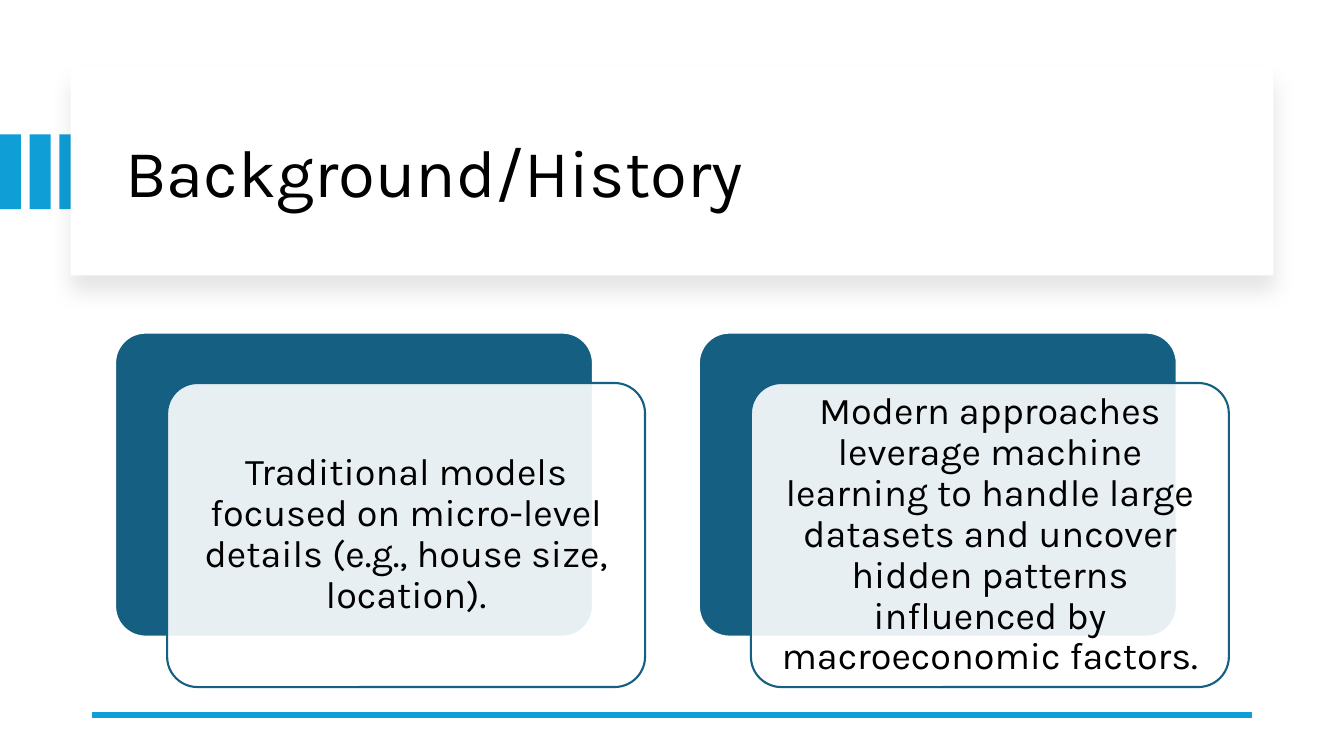
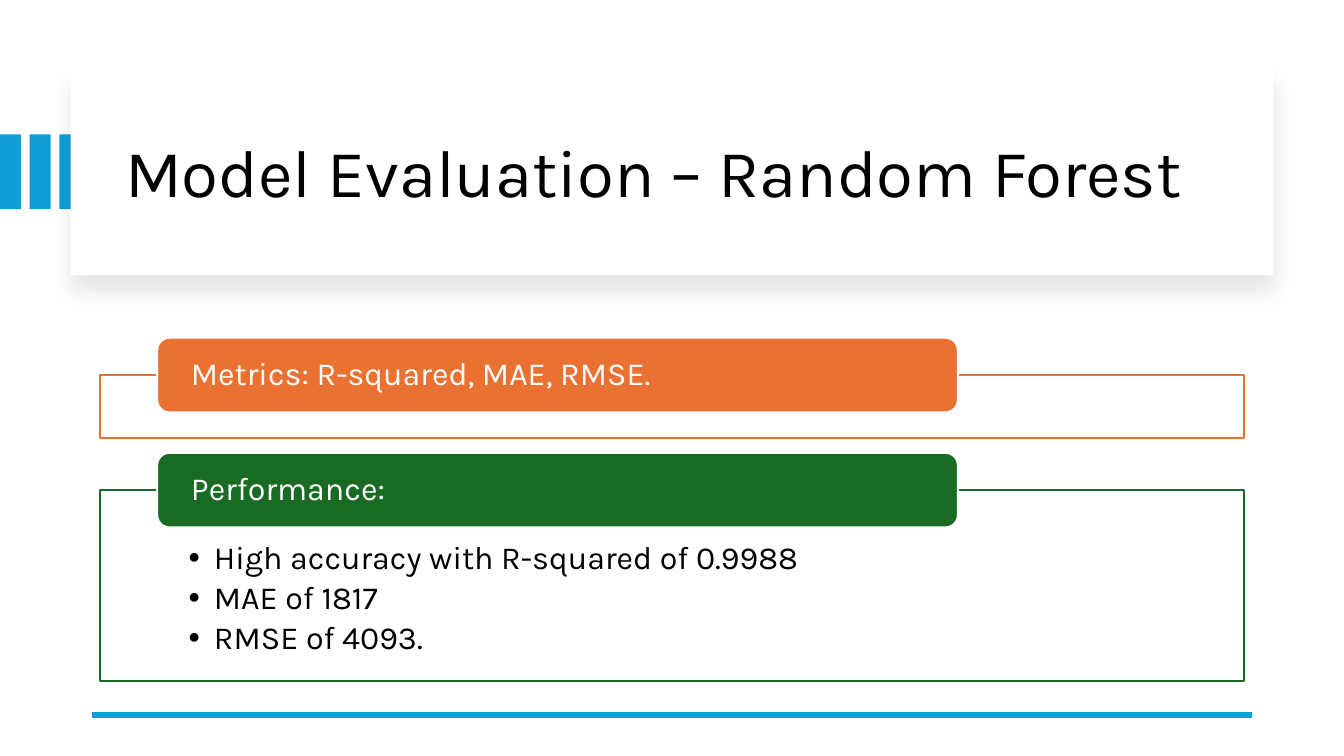
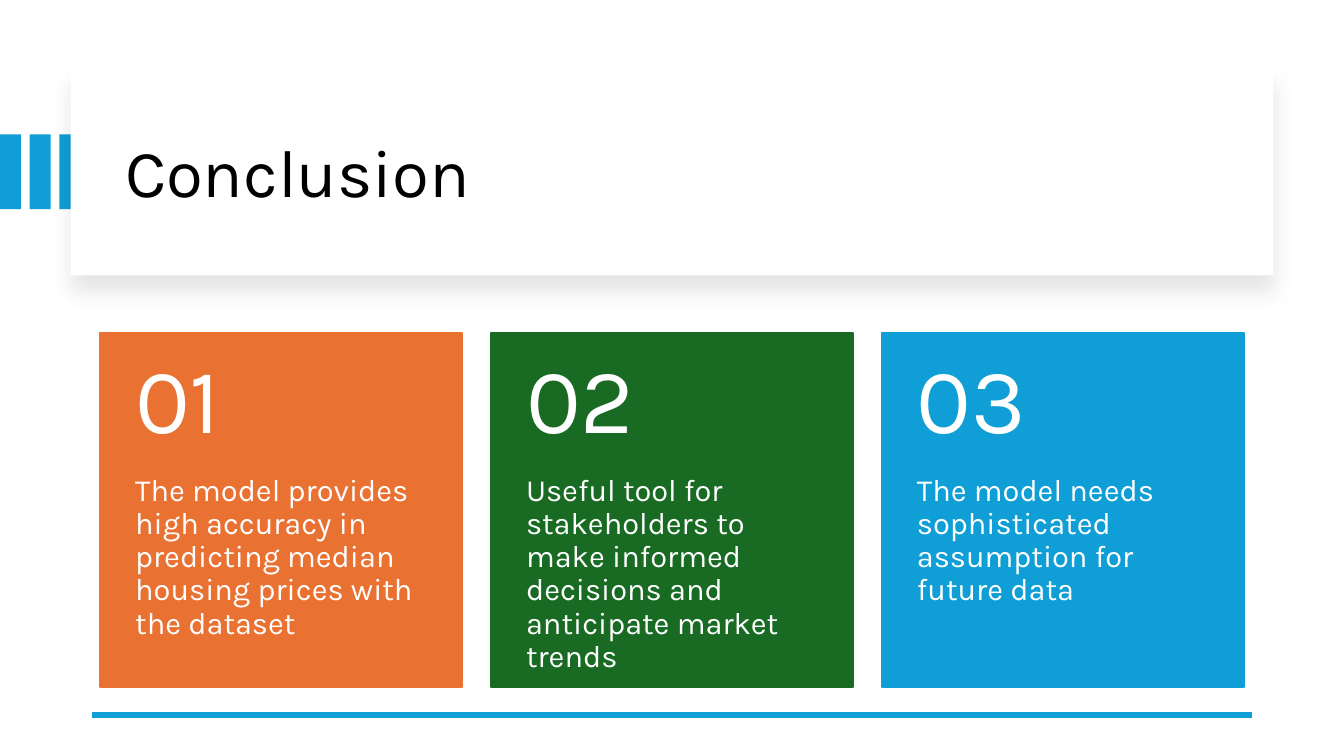
from dataclasses import dataclass
from lxml.etree import SubElement
from pptx import Presentation
from pptx.dml.color import RGBColor
from pptx.enum.shapes import MSO_CONNECTOR, MSO_SHAPE
from pptx.enum.text import MSO_ANCHOR, PP_ALIGN
from pptx.oxml.ns import qn
from pptx.util import Emu, Inches, Pt

CELL = Inches(1) // 12
COLUMNS, ROWS = 160, 90
FONT = "Karla"
COLORS = {
    "white": "FFFFFF",
    "black": "000000",
    "blue": "0F9ED5",
    "teal": "156082",
    "orange": "E97132",
    "green": "196B24",
}


def cells(count):
    return Emu(round(count * CELL))


@dataclass
class Box:
    left: float
    top: float
    width: float
    height: float

    def inner(self, left, top, width, height):
        return Box(self.left + left, self.top + top, width, height)

    def columns(self, count, gap):
        width = (self.width - gap * (count - 1)) / count
        return [self.inner(index * (width + gap), 0, width, self.height)
                for index in range(count)]

    def emu(self):
        return [cells(side) for side in (self.left, self.top, self.width, self.height)]


CONTENT = Box(11.9, 39.6, 136.2, 42.2)


def color(name):
    return RGBColor.from_string(COLORS[name])


def add_panel(page, box, fill, line=None, preset=MSO_SHAPE.RECTANGLE, corner=None, opacity=None):
    shape = page.shapes.add_shape(preset, *box.emu())
    shape.shadow.inherit = False
    shape.fill.solid()
    shape.fill.fore_color.rgb = color(fill)
    if opacity is not None:
        tone = shape._element.spPr.find(qn("a:solidFill"))[0]
        SubElement(tone, qn("a:alpha"), val=str(opacity * 1000))
    if line:
        shape.line.color.rgb = color(line)
        shape.line.width = Pt(1.5)
    else:
        shape.line.fill.background()
    if corner is not None:
        shape.adjustments[0] = corner
    return shape


def add_bullet(para):
    properties = para._p.get_or_add_pPr()
    properties.set("marL", str(Inches(0.25)))
    properties.set("indent", str(-Inches(0.25)))
    bullet_font = SubElement(properties, qn("a:buFont"), typeface="Arial")
    bullet = SubElement(properties, qn("a:buChar"), char="•")
    defaults = properties.find(qn("a:defRPr"))
    if defaults is not None:
        defaults.addprevious(bullet_font)
        defaults.addprevious(bullet)


def write(shape, lines, size, tone, insets, anchor=MSO_ANCHOR.MIDDLE,
          align=PP_ALIGN.LEFT, bullets=False):
    frame = shape.text_frame
    frame.word_wrap = True
    frame.vertical_anchor = anchor
    (frame.margin_left, frame.margin_top,
     frame.margin_right, frame.margin_bottom) = map(Inches, insets)
    for index, line in enumerate(lines):
        para = frame.add_paragraph() if index else frame.paragraphs[0]
        para.text = line
        para.alignment = align
        para.line_spacing = 0.9
        para.space_after = Pt(3.5) if bullets else Pt(0)
        para.font.name = FONT
        para.font.size = Pt(size)
        para.font.color.rgb = color(tone)
        if bullets:
            add_bullet(para)


def add_text(page, box, lines, size, tone, insets, anchor=MSO_ANCHOR.MIDDLE):
    write(page.shapes.add_textbox(*box.emu()), lines, size, tone, insets, anchor)


def add_title_shadow(shape):
    effects = shape._element.spPr.find(qn("a:effectLst"))
    shadow = SubElement(effects, qn("a:outerShdw"), blurRad=str(Pt(15)), dist=str(Pt(11)),
                        dir="5400000", algn="t", rotWithShape="0")
    tone = SubElement(shadow, qn("a:srgbClr"), val=COLORS["black"])
    SubElement(tone, qn("a:alpha"), val="10000")


def add_header(page, box, title):
    for index in range(3):
        add_panel(page, Box(index * 3.53, 16, 2.5, 8.9), "blue")
    add_title_shadow(add_panel(page, box, "white"))
    title_box = box.inner(5.3, 2.7, box.width - 9.6, box.height - 4.4)
    add_text(page, title_box, [title], 48, "black", (0.1, 0.05, 0.1, 0.05))


def add_footer_line(page, row):
    line = page.shapes.add_connector(MSO_CONNECTOR.STRAIGHT, cells(COLUMNS - 11), cells(row),
                                     cells(11), cells(row))
    line.line.color.rgb = color("blue")
    line.line.width = Pt(4.5)
    SubElement(line._element.spPr, qn("a:effectLst"))


def add_page(deck, title):
    page = deck.slides.add_slide(deck.slide_layouts[6])
    page.background.fill.solid()
    page.background.fill.fore_color.rgb = color("white")
    add_header(page, Box(8.4, 8, 143.2, 24.8), title)
    add_footer_line(page, 85.1)
    return page


def add_layered_card(page, box, text):
    shift_right, shift_down = 6.2, 6
    width, height = box.width - shift_right, box.height - shift_down
    add_panel(page, box.inner(0, 0, width, height), "teal", "white",
              MSO_SHAPE.ROUNDED_RECTANGLE, 0.1)
    front = add_panel(page, box.inner(shift_right, shift_down, width, height), "white", "teal",
                      MSO_SHAPE.ROUNDED_RECTANGLE, 0.1, 90)
    write(front, [text], 27, "black", (0.11,) * 4, align=PP_ALIGN.CENTER)


def add_section(page, box, heading, points, accent):
    frame = add_panel(page, box, "white", accent, opacity=90)
    if points:
        write(frame, points, 23, "black", (0.88, 0.52, 0.88, 0.18), MSO_ANCHOR.TOP, bullets=True)
    label = add_panel(page, box.inner(box.width * 0.05, -4.4, box.width * 0.7, 8.9),
                      accent, "white", MSO_SHAPE.ROUNDED_RECTANGLE)
    write(label, [heading], 23, "white", (0.3, 0, 0.3, 0))


def add_numbered_card(page, box, number, text, accent):
    add_panel(page, box, accent, accent)
    head = box.height * 0.4
    add_text(page, box.inner(0, head, box.width, box.height - head), [text], 22, "white",
             (0.35, 0, 0.35, 0.36), MSO_ANCHOR.TOP)
    add_text(page, box.inner(0, 0, box.width, head), [f"{number:02}"], 66, "white",
             (0.35, 0.18, 0.35, 0.18))


def build_background(deck):
    page = add_page(deck, "Background/History")
    texts = [
        "Traditional models focused on micro-level details (e.g., house size, location).",
        "Modern approaches leverage machine learning to handle large datasets and uncover "
        "hidden patterns influenced by macroeconomic factors.",
    ]
    area = CONTENT.inner(1.8, 0, CONTENT.width - 3.6, CONTENT.height)
    for box, text in zip(area.columns(len(texts), 6.4), texts):
        add_layered_card(page, box, text)


def build_evaluation(deck):
    page = add_page(deck, "Model Evaluation – Random Forest")
    sections = [
        ("Metrics: R-squared, MAE, RMSE.", [], "orange", 7.6),
        ("Performance:", ["High accuracy with R-squared of 0.9988", "MAE of 1817",
                          "RMSE of 4093."], "green", 22.8),
    ]
    top = 5
    for heading, points, accent, height in sections:
        add_section(page, CONTENT.inner(0, top, CONTENT.width, height), heading, points, accent)
        top += height + 6.1


def build_conclusion(deck):
    page = add_page(deck, "Conclusion")
    cards = [
        ("The model provides high accuracy in predicting median housing prices with the dataset",
         "orange"),
        ("Useful tool for stakeholders to make informed decisions and anticipate market trends",
         "green"),
        ("The model needs sophisticated assumption for future data", "blue"),
    ]
    boxes = CONTENT.columns(len(cards), 3.4)
    for number, (box, (text, accent)) in enumerate(zip(boxes, cards), 1):
        add_numbered_card(page, box, number, text, accent)


def main():
    deck = Presentation()
    deck.slide_width = cells(COLUMNS)
    deck.slide_height = cells(ROWS)
    build_background(deck)
    build_evaluation(deck)
    build_conclusion(deck)
    deck.save("out.pptx")


if __name__ == "__main__":
    main()
